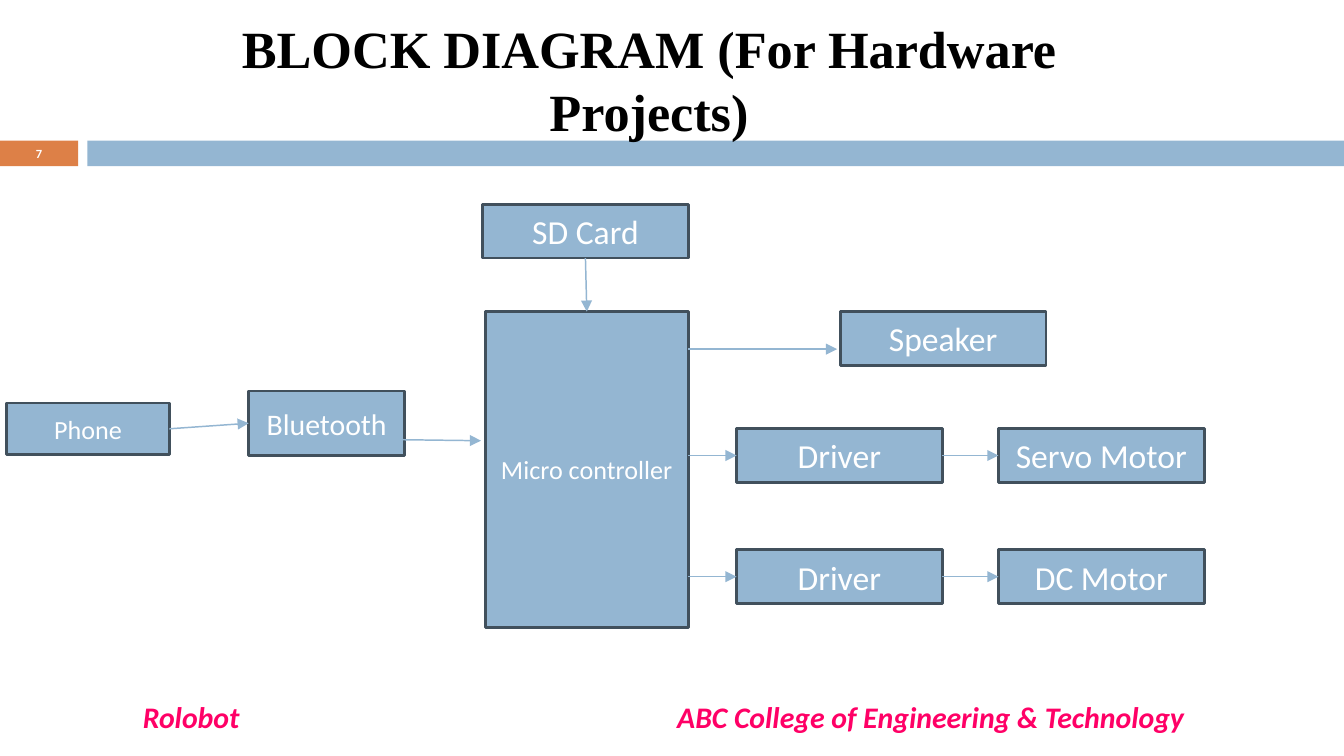
from lxml.etree import SubElement
from pptx import Presentation
from pptx.dml.color import RGBColor
from pptx.enum.shapes import MSO_CONNECTOR as Connector, MSO_SHAPE as Shape
from pptx.enum.text import MSO_ANCHOR as Anchor, PP_ALIGN as Align
from pptx.oxml.ns import qn
from pptx.util import Cm, Pt

BLUE = RGBColor(0x94, 0xB6, 0xD2)
ORANGE = RGBColor(0xDD, 0x80, 0x47)
OUTLINE = RGBColor(0x41, 0x50, 0x5C)
PINK = RGBColor(0xFF, 0x00, 0x66)
WHITE = RGBColor(0xFF, 0xFF, 0xFF)
BLACK = RGBColor(0x00, 0x00, 0x00)

TOP, LEFT, BOTTOM, RIGHT = range(4)
BOX_WIDTH, BOX_HEIGHT = 3.89, 1.02
DRIVER_LEFT, MOTOR_LEFT = 13.92, 18.87
CONTROLLER_TOP, CONTROLLER_RIGHT = 5.89, 13.01
MOTOR_ROWS = (("Servo Motor", 8.1), ("DC Motor", 10.39))


def write(shape, text, size, color, font="Calibri", bold=False, italic=False,
          anchor=Anchor.MIDDLE, align=Align.CENTER):
    """Put one styled run of text into a shape."""
    frame = shape.text_frame
    frame.word_wrap = True
    frame.vertical_anchor = anchor
    paragraph = frame.paragraphs[0]
    paragraph.alignment = align
    run = paragraph.add_run()
    run.text = text
    run.font.name = font
    run.font.size = Pt(size)
    run.font.bold = bold
    run.font.italic = italic
    run.font.color.rgb = color


def add_rectangle(slide, left, top, width, height, fill):
    """Add a flat rectangle without outline."""
    shape = slide.shapes.add_shape(
        Shape.RECTANGLE, Cm(left), Cm(top), Cm(width), Cm(height))
    shape.shadow.inherit = False
    shape.fill.solid()
    shape.fill.fore_color.rgb = fill
    shape.line.fill.background()
    return shape


def add_block(slide, text, left, top, width=BOX_WIDTH, height=BOX_HEIGHT, size=18):
    """Add an outlined, labelled block of the diagram."""
    block = add_rectangle(slide, left, top, width, height, BLUE)
    block.line.color.rgb = OUTLINE
    block.line.width = Pt(1.5)
    write(block, text, size, WHITE)
    return block


def add_label(slide, text, left, top, width, height, size, color, **style):
    """Add a text box with one styled line of text."""
    box = slide.shapes.add_textbox(Cm(left), Cm(top), Cm(width), Cm(height))
    write(box, text, size, color, **style)


def add_arrow(slide, start=(0, 0), end=(0, 0), begin_at=None, end_at=None):
    """Add an arrow between points, or joined to (block, side) pairs."""
    arrow = slide.shapes.add_connector(
        Connector.STRAIGHT, *(Cm(value) for value in (*start, *end)))
    if begin_at:
        arrow.begin_connect(*begin_at)
    if end_at:
        arrow.end_connect(*end_at)
    arrow.line.color.rgb = BLUE
    arrow.line.width = Pt(0.79)
    SubElement(arrow.line._get_or_add_ln(), qn("a:tailEnd"), type="triangle")
    SubElement(arrow._element.spPr, qn("a:effectLst"))


def add_header(slide):
    """Add the title, the coloured band and the slide number."""
    number = add_rectangle(slide, 0, 2.66, 1.48, 0.48, ORANGE)
    number.text_frame.margin_top = number.text_frame.margin_bottom = 0
    write(number, "7", 6.7, WHITE, bold=True)
    add_rectangle(slide, 1.65, 2.66, 23.75, 0.48, BLUE)
    add_label(slide, "BLOCK DIAGRAM (For Hardware Projects)", 3.58, 0.18, 17.37, 2.64,
              28, BLACK, font="Times New Roman", bold=True)


def add_footer(slide):
    """Add the project name and the college name."""
    for text, left, width in (("Rolobot", 2.45, 6),
                              ("ABC College of Engineering & Technology", 12.55, 12)):
        add_label(slide, text, left, 13.08, width, 0.97, 16, PINK, bold=True,
                  italic=True, anchor=Anchor.TOP, align=Align.LEFT)


def add_diagram(slide):
    """Add the blocks and the arrows between them."""
    phone = add_block(slide, "Phone", 0.13, 7.62, 3.07, 0.97, 14)
    bluetooth = add_block(slide, "Bluetooth", 4.7, 7.39, 2.95, 1.22, 16)
    card = add_block(slide, "SD Card", 9.12, 3.86)
    controller = add_block(slide, "Micro controller", 9.17, CONTROLLER_TOP, 3.84, 5.97, 14)
    add_block(slide, "Speaker", 15.88, CONTROLLER_TOP)

    add_arrow(slide, begin_at=(phone, RIGHT), end_at=(bluetooth, LEFT))
    add_arrow(slide, (7.47, 8.31), (9.09, 8.33))
    add_arrow(slide, begin_at=(card, BOTTOM), end_at=(controller, TOP))
    add_arrow(slide, (CONTROLLER_RIGHT, 6.6), (15.82, 6.6))

    for name, top in MOTOR_ROWS:
        driver = add_block(slide, "Driver", DRIVER_LEFT, top)
        motor = add_block(slide, name, MOTOR_LEFT, top)
        middle = top + BOX_HEIGHT / 2
        add_arrow(slide, (CONTROLLER_RIGHT, middle), end_at=(driver, LEFT))
        add_arrow(slide, begin_at=(driver, RIGHT), end_at=(motor, LEFT))


def main():
    """Build the block diagram slide and save it."""
    presentation = Presentation()
    presentation.slide_width = Cm(25.4)
    presentation.slide_height = Cm(14.29)
    slide = presentation.slides.add_slide(presentation.slide_layouts[6])
    add_header(slide)
    add_diagram(slide)
    add_footer(slide)
    presentation.save("out.pptx")


if __name__ == "__main__":
    main()
